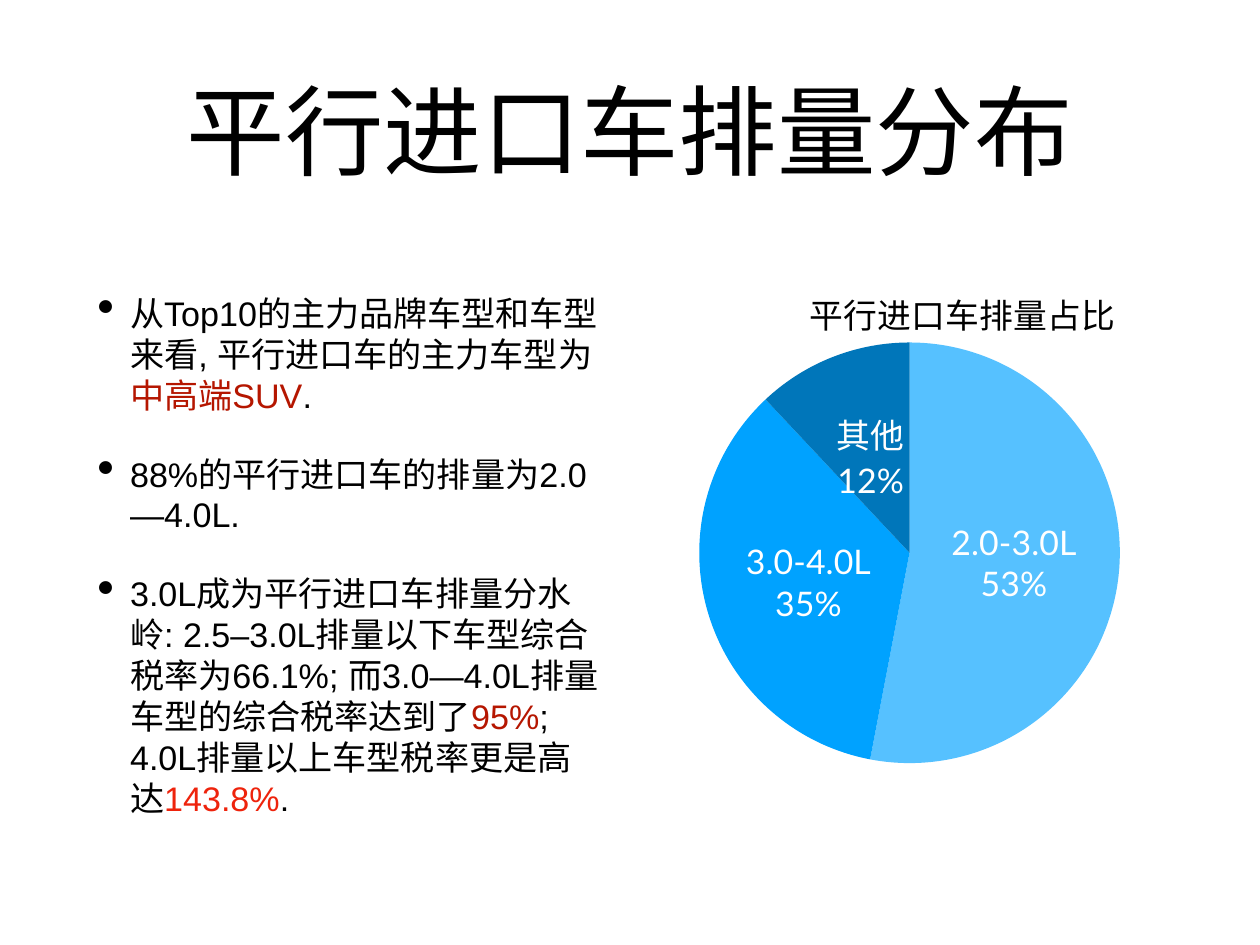
from lxml import etree
from pptx import Presentation
from pptx.chart.data import CategoryChartData
from pptx.dml.color import RGBColor
from pptx.enum.chart import XL_CHART_TYPE, XL_LABEL_POSITION
from pptx.enum.text import MSO_ANCHOR, PP_ALIGN
from pptx.oxml import parse_xml
from pptx.oxml.ns import nsdecls, qn
from pptx.util import Inches, Pt

PIE = XL_CHART_TYPE.PIE
CENTER_LABEL = XL_LABEL_POSITION.CENTER
MIDDLE = MSO_ANCHOR.MIDDLE
LEFT, CENTER = PP_ALIGN.LEFT, PP_ALIGN.CENTER

WIDTH, HEIGHT = 14.22, 10.67
COLORS = {
    "text": "000000", "label": "FFFFFF", "accent": "B51600", "alert": "EE230C",
    "light": "56C1FF", "mid": "00A2FF", "dark": "0076BA",
}
TITLE_BOX = (0.073, 0.026, 0.854, 0.221)
BODY_BOX = (0.073, 0.265, 0.41, 0.645)
CHART_BOX = (0.553, 0.284, 0.338, 0.53)

TITLE = "平行进口车排量分布"
POINTS = [
    [("从Top10的主力品牌车型和车型来看, 平行进口车的主力车型为", "text"),
     ("中高端SUV", "accent"), (".", "text")],
    [("88%的平行进口车的排量为2.0—4.0L.", "text")],
    [("3.0L成为平行进口车排量分水岭: 2.5–3.0L排量以下车型综合税率为66.1%; "
      "而3.0—4.0L排量车型的综合税率达到了", "text"),
     ("95%", "accent"), ("; 4.0L排量以上车型税率更是高达", "text"),
     ("143.8%", "alert"), (".", "text")],
]
CHART_TITLE = "平行进口车排量占比"
SHARES = [("2.0-3.0L", 53, "light"), ("3.0-4.0L", 35, "mid"), ("其他", 12, "dark")]


def place(shares):
    """Turn shares of the slide into left, top, width and height."""
    return [Inches(share * side) for share, side in zip(shares, (WIDTH, HEIGHT) * 2)]


def style_font(font, size, color, name="Arial"):
    """Set size, typeface and colour of a font."""
    for key, value in {"size": Pt(size), "name": name, "bold": False}.items():
        setattr(font, key, value)
    font.color.rgb = RGBColor.from_string(COLORS[color])


def add_text(page, box, paragraphs, size, align):
    """Add a vertically centred text box and return its paragraphs."""
    frame = page.shapes.add_textbox(*place(box)).text_frame
    inset = Inches(0.06)
    layout = {"word_wrap": True, "vertical_anchor": MIDDLE, "margin_left": inset,
              "margin_right": inset, "margin_top": inset, "margin_bottom": inset}
    for key, value in layout.items():
        setattr(frame, key, value)
    for index, pieces in enumerate(paragraphs):
        para = frame.add_paragraph() if index else frame.paragraphs[0]
        para.alignment = align
        for text, color in pieces:
            span = para.add_run()
            span.text = text
            style_font(span.font, size, color)
    return frame.paragraphs


def add_title(page, box):
    """Add the slide heading."""
    add_text(page, box, [[(TITLE, "text")]], 80, CENTER)


def add_body(page, box):
    """Add the bulleted findings."""
    indent = Inches(0.37)
    for para in add_text(page, box, POINTS, 27.7, LEFT):
        para.space_before = Pt(31)
        properties = para._p.get_or_add_pPr()
        properties.set("marL", str(indent))
        properties.set("indent", str(-indent))
        etree.SubElement(properties, qn("a:buSzPct")).set("val", "145000")
        etree.SubElement(properties, qn("a:buChar")).set("char", "•")


def set_layout(element, position, **values):
    """Give a chart title or plot area a manual layout."""
    for old in element.findall(qn("c:layout")):
        element.remove(old)
    items = {"xMode": "edge", "yMode": "edge", **values}
    parts = "".join(f'<c:{key} val="{value}"/>' for key, value in items.items())
    element.insert(position, parse_xml(
        f'<c:layout {nsdecls("c")}><c:manualLayout>{parts}</c:manualLayout></c:layout>'))


def add_pie(page, box):
    """Add the pie chart of engine displacement shares."""
    names, values, fills = zip(*SHARES)
    data = CategoryChartData()
    data.categories = names
    data.add_series("Series 1", values)
    chart = page.shapes.add_chart(PIE, *place(box), data).chart
    style_font(chart.font, 10, "text")
    chart.has_legend = False
    chart.has_title = True
    heading = chart.chart_title
    heading.include_in_layout = True
    span = heading.text_frame.paragraphs[0].add_run()
    span.text = CHART_TITLE
    style_font(span.font, 27.5, "text", "Lato")
    set_layout(heading._element, 1, x=0.25, y=0.02)
    set_layout(chart._chartSpace.chart.plotArea, 0, layoutTarget="inner",
               x=0.005, y=0.148, w=0.99, h=0.84)
    layout = chart._chartSpace.chart.plotArea.find(qn("c:layout"))[0]
    layout.insert(0, layout.find(qn("c:layoutTarget")))

    plot = chart.plots[0]
    plot.vary_by_categories = False
    series = plot.series[0]
    for index, color in enumerate(fills):
        point = series.points[index].format
        point.fill.solid()
        point.fill.fore_color.rgb = RGBColor.from_string(COLORS[color])
        point.line.fill.background()
    labels = series.data_labels
    settings = {"show_category_name": True, "show_percentage": True, "show_value": False,
                "show_legend_key": False, "position": CENTER_LABEL,
                "number_format": "#,##0%", "number_format_is_linked": False}
    for key, value in settings.items():
        setattr(labels, key, value)
    style_font(labels.font, 27.5, "label", "Lato")
    separator = parse_xml(f'<c:separator {nsdecls("c")}>\n</c:separator>')
    labels._element.find(qn("c:showBubbleSize")).addnext(separator)


def main():
    """Build and save the deck."""
    deck = Presentation()
    deck.slide_width, deck.slide_height = Inches(WIDTH), Inches(HEIGHT)
    page = deck.slides.add_slide(deck.slide_layouts[6])
    add_title(page, TITLE_BOX)
    add_body(page, BODY_BOX)
    add_pie(page, CHART_BOX)
    deck.save("out.pptx")


if __name__ == "__main__":
    main()
